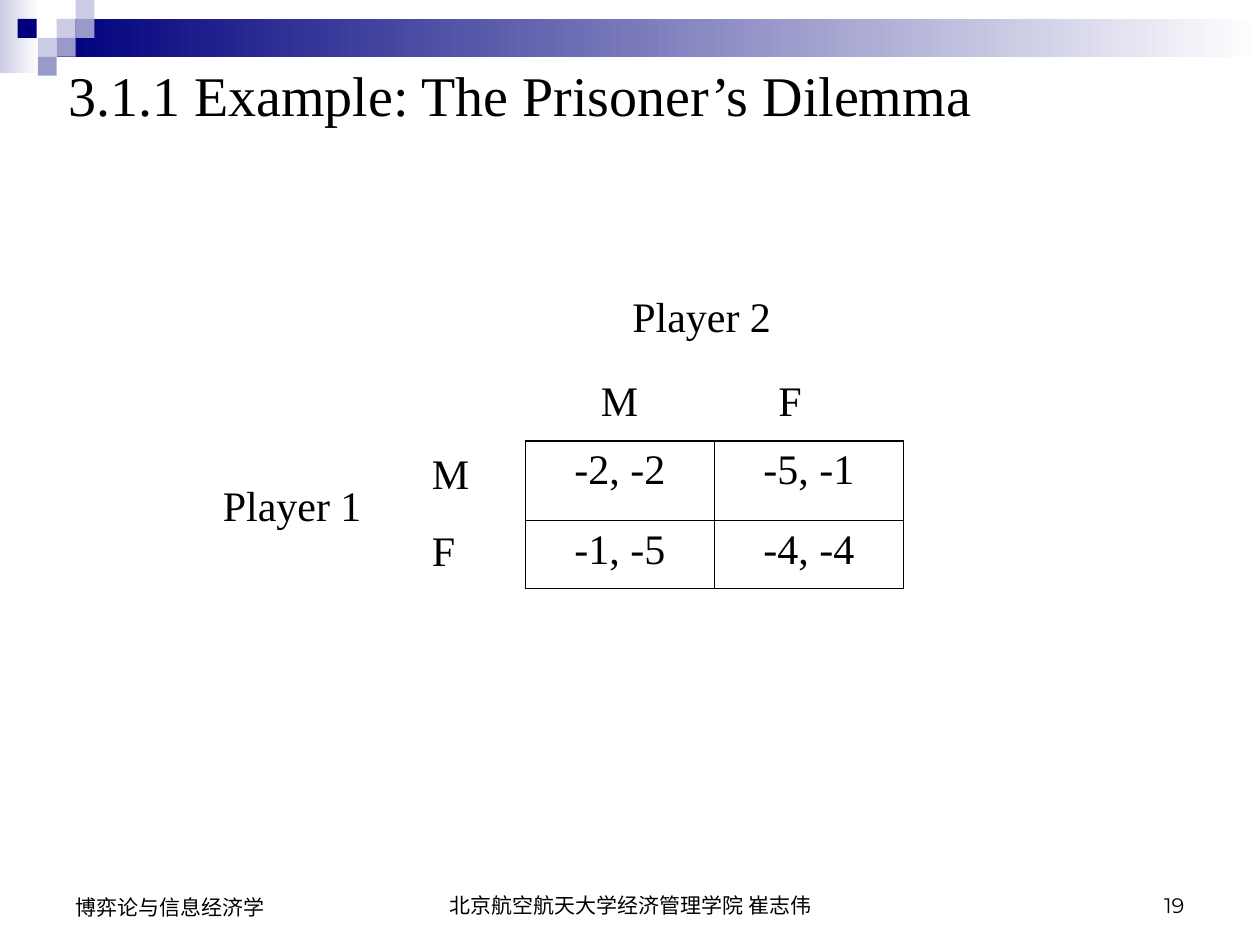
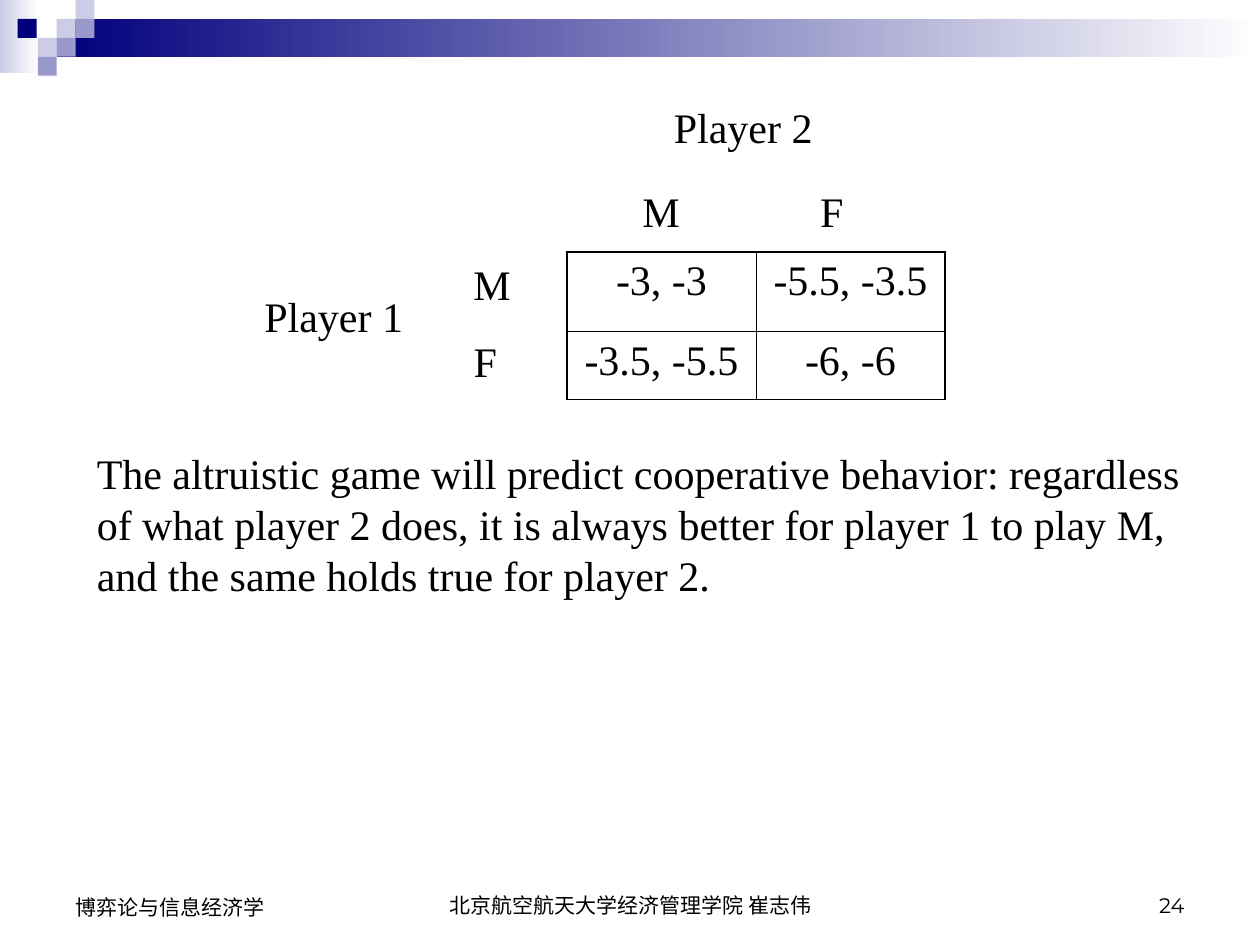
from pptx import Presentation
from pptx import util as u
from pptx.dml.color import RGBColor
from pptx.enum import shapes, text
from pptx.oxml import parse_xml
from pptx.oxml.ns import nsdecls

NAVY = RGBColor(0x00, 0x00, 0x7D)
LILAC = RGBColor(0xCC, 0xCC, 0xE6)
VIOLET = RGBColor(0x99, 0x99, 0xCC)
WHITE = RGBColor(0xFF, 0xFF, 0xFF)
BLACK = RGBColor(0x00, 0x00, 0x00)

SERIF, SANS, DIGITS = "Times New Roman", "Arial", "Montserrat"
COURSE = "博弈论与信息经济学"
SCHOOL = "北京航空航天大学经济管理学院 崔志伟"
LEFT, CENTER, RIGHT = text.PP_ALIGN.LEFT, text.PP_ALIGN.CENTER, text.PP_ALIGN.RIGHT
TOP, BOTTOM = text.MSO_ANCHOR.TOP, text.MSO_ANCHOR.BOTTOM

TILE = 0.15
TILES = [(0.45, 0.15, LILAC), (0.6, 0, LILAC), (0.6, 0.15, VIOLET),
         (0.3, 0.3, LILAC), (0.14, 0.15, NAVY), (0.45, 0.3, VIOLET),
         (0.3, 0.45, VIOLET)]

# Labels around the payoff table: words, offset from its corner, width
LABELS = [("M", -0.84, 0, 0.5), ("F", -0.84, 0.61, 0.58),
          ("Player 2", 0.75, -1.25, 1.83), ("Player 1", -2.5, 0.25, 1.33),
          ("M", 0.5, -0.58, 0.5), ("F", 1.91, -0.58, 0.58)]
ROWS = (0.63, 0.54)
COL = 1.5
THICK, THIN = 1.08, 0.45


def style(frame, size, font=SERIF, align=LEFT, lead=None):
    for para in frame.paragraphs:
        para.alignment = align
        if lead:
            para.line_spacing = u.Pt(lead)
        for run in para.runs:
            run.font.size = u.Pt(size)
            run.font.name = font
            run.font.color.rgb = BLACK


def add_text(slide, words, box, size=24, font=SERIF, align=LEFT, anchor=TOP, lead=None):
    frame = slide.shapes.add_textbox(*map(u.Inches, box)).text_frame
    frame.word_wrap = True
    frame.vertical_anchor = anchor
    frame.text = words
    style(frame, size, font, align, lead)


def add_block(slide, box, color, fade=False):
    """Add a plain rectangle, fading to white at the right if asked."""
    block = slide.shapes.add_shape(shapes.MSO_SHAPE.RECTANGLE, *map(u.Inches, box))
    block.shadow.inherit = False
    block.line.fill.background()
    if fade:
        block.fill.gradient()
        block.fill.gradient_angle = 0
        for stop, tint, place in zip(block.fill.gradient_stops, (color, WHITE), (0, 1)):
            stop.color.rgb = tint
            stop.position = place
    else:
        block.fill.solid()
        block.fill.fore_color.rgb = color
    return block


def add_band(slide, master):
    """Draw the top band on a slide, then move it to the master."""
    blocks = [add_block(slide, (0, 0, 0.31, 0.58), LILAC, fade=True),
              add_block(slide, (0.45, 0.15, 9.55, 0.3), NAVY, fade=True)]
    blocks += [add_block(slide, (x, y, TILE, TILE), color) for x, y, color in TILES]
    for spot, block in enumerate(blocks, start=2):
        master.shapes.element.insert(spot, block.element)


def add_footer(slide, number):
    add_text(slide, SCHOOL, (3.42, 6.83, 3.17, 0.5), 12, SANS, CENTER, BOTTOM)
    add_text(slide, number, (7.17, 6.83, 2.33, 0.5), 12, DIGITS, RIGHT, BOTTOM)
    add_text(slide, COURSE, (0.5, 6.83, 2.33, 0.52), 12, SANS, LEFT, BOTTOM)


def set_title(slide, words):
    title = slide.shapes.title
    title.left, title.top, title.width, title.height = map(u.Inches, (0.44, 0.42, 7.39, 0.64))
    frame = title.text_frame
    frame.text = words
    frame.word_wrap = False
    frame.auto_size = text.MSO_AUTO_SIZE.NONE
    frame.vertical_anchor = TOP
    style(frame, 32, lead=39)


def set_edges(cell, row, col):
    """Rule a cell: thick on the outside of the table, thin inside."""
    outer = {"L": col == 0, "R": col == 1, "T": row == 0, "B": row == 1}
    props = cell._tc.get_or_add_tcPr()
    for spot, (side, thick) in enumerate(outer.items()):
        width = u.Pt(THICK if thick else THIN)
        props.insert(spot, parse_xml(
            f'<a:ln{side} {nsdecls("a")} w="{width}"><a:solidFill>'
            f'<a:srgbClr val="{BLACK}"/></a:solidFill></a:ln{side}>'))


def add_game(slide, left, top, payoffs):
    """Add a two-by-two payoff table with its player and move labels."""
    box = (left, top, 2 * COL, sum(ROWS))
    table = slide.shapes.add_table(2, 2, *map(u.Inches, box)).table
    table.first_row = table.horz_banding = False
    for row, pairs in enumerate(payoffs):
        table.rows[row].height = u.Inches(ROWS[row])
        for col, pair in enumerate(pairs):
            cell = table.cell(row, col)
            cell.text = pair
            cell.fill.background()
            style(cell.text_frame, 24, align=CENTER)
            set_edges(cell, row, col)
    for words, right, down, width in LABELS:
        add_text(slide, words, (left + right, top + down, width, 0.5), lead=29)


def main():
    prs = Presentation()
    prs.slide_width, prs.slide_height = u.Inches(10), u.Inches(7.5)
    titled, blank = prs.slide_layouts[5], prs.slide_layouts[6]

    dilemma = prs.slides.add_slide(titled)
    add_band(dilemma, prs.slide_master)
    add_footer(dilemma, "19")
    set_title(dilemma, "3.1.1 Example: The Prisoner’s Dilemma")
    add_game(dilemma, 4.17, 3.5, [("-2, -2", "-5, -1"), ("-1, -5", "-4, -4")])

    kind = prs.slides.add_slide(blank)
    add_footer(kind, "24")
    add_game(kind, 4.5, 2, [("-3, -3", "-5.5, -3.5"), ("-3.5, -5.5", "-6, -6")])
    add_text(kind, "The altruistic game will predict cooperative behavior: "
             "regardless of what player 2 does, it is always better for player 1 "
             "to play M, and the same holds true for player 2.",
             (0.67, 3.5, 8.83, 1.3), lead=29)

    prs.save("out.pptx")


if __name__ == "__main__":
    main()
